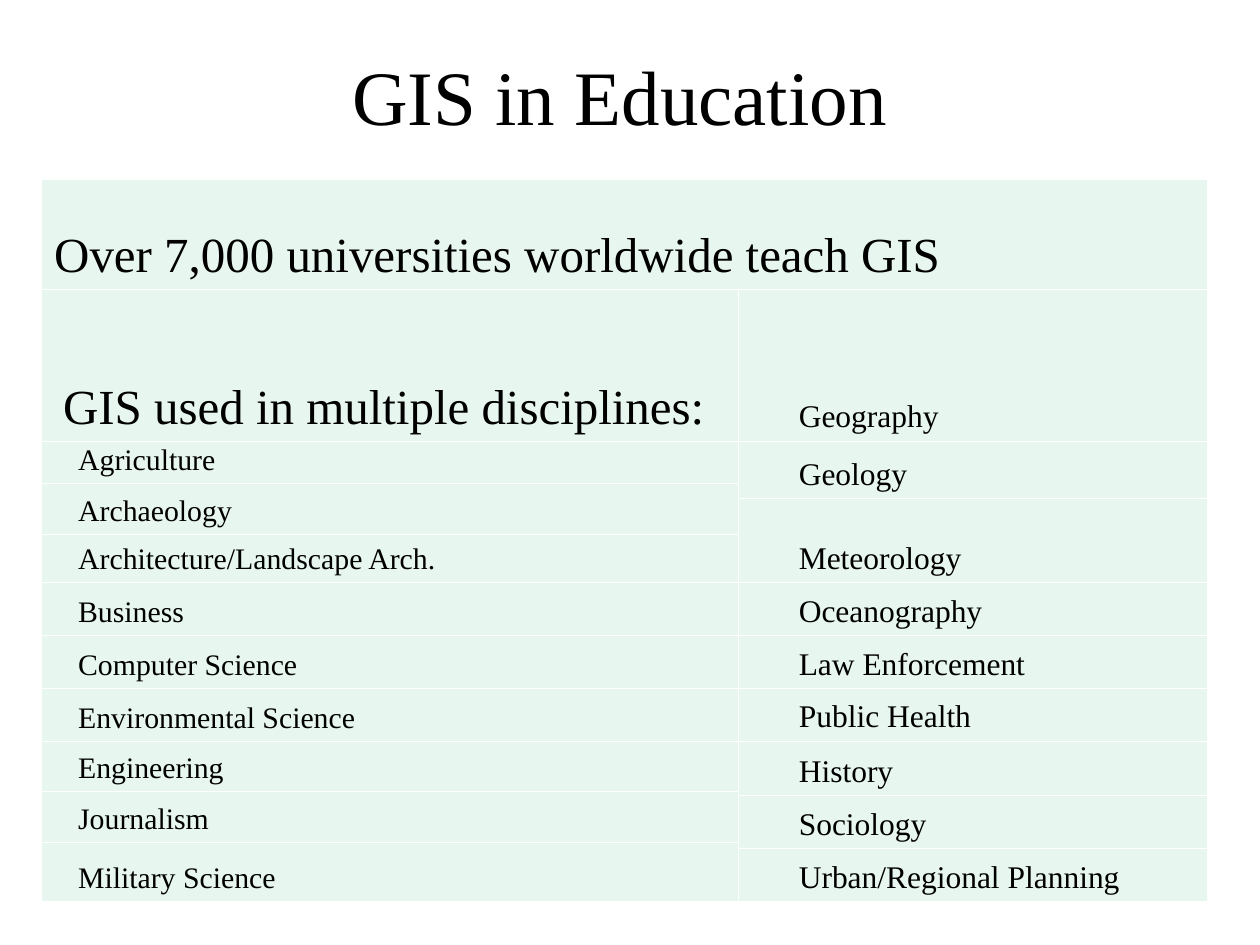
from lxml.etree import SubElement
from pptx import Presentation
from pptx.dml.color import RGBColor
from pptx.enum.text import MSO_ANCHOR as Anchor, MSO_AUTO_SIZE as AutoSize, PP_ALIGN as Align
from pptx.oxml.ns import qn
from pptx.util import Inches, Pt

FONT, INK, MINT, WHITE = "Times New Roman", "000000", "E7F6EF", "FFFFFF"
COLUMNS = [5.53, 3.72]
ROWS = [0.88, 1.2, 0.27, 0.12, 0.25, 0.33, 0.39, 0.39, 0.39, 0.37, 0.03, 0.34, 0.05, 0.39]

# Each entry: first row, rows spanned, text
LEFT = [
    (2, 1, "Agriculture"), (3, 2, "Archaeology"), (5, 1, "Architecture/Landscape Arch."),
    (6, 1, "Business"), (7, 1, "Computer Science"), (8, 1, "Environmental Science"),
    (9, 1, "Engineering"), (10, 2, "Journalism"), (12, 2, "Military Science"),
]
RIGHT = [
    (1, 1, "Geography"), (2, 2, "Geology"), (4, 2, "Meteorology"), (6, 1, "Oceanography"),
    (7, 1, "Law Enforcement"), (8, 1, "Public Health"), (9, 2, "History"),
    (11, 2, "Sociology"), (13, 1, "Urban/Regional Planning"),
]
EXACT_SPACING = {"Agriculture": Pt(16.9), "Architecture/Landscape Arch.": Pt(20.6)}


def color(value):
    return RGBColor.from_string(value)


def write(frame, text, size, align=Align.LEFT, indent=0, spacing=None):
    paragraph = frame.paragraphs[0]
    paragraph.alignment = align
    paragraph.space_before = Pt(0)
    if spacing:
        paragraph.line_spacing = spacing
    if indent:
        properties = paragraph._p.get_or_add_pPr()
        properties.set("marL", str(Inches(indent)))
        properties.set("indent", "0")
    run = paragraph.add_run()
    run.text = text
    run.font.size = Pt(size)
    run.font.name = FONT
    run.font.color.rgb = color(INK)


def style_cell(cell):
    """Give a cell thin white borders, a mint fill and bottom anchoring."""
    properties = cell._tc.get_or_add_tcPr()
    for side in ("a:lnL", "a:lnR", "a:lnT", "a:lnB"):
        line = SubElement(properties, qn(side), w=str(Pt(0.45)))
        SubElement(SubElement(line, qn("a:solidFill")), qn("a:srgbClr"), val=WHITE)
    cell.fill.solid()
    cell.fill.fore_color.rgb = color(MINT)
    cell.vertical_anchor = Anchor.BOTTOM


def add_title(slide, box, text):
    title = slide.shapes.title
    title.left, title.top, title.width, title.height = map(Inches, box)
    frame = title.text_frame
    frame.auto_size = AutoSize.NONE
    frame.vertical_anchor = Anchor.MIDDLE
    write(frame, text, 44, align=Align.CENTER)


def add_disciplines(slide, box):
    table = slide.shapes.add_table(len(ROWS), len(COLUMNS), *map(Inches, box)).table
    table.first_row = table.horz_banding = False
    for column, width in zip(table.columns, COLUMNS):
        column.width = Inches(width)
    for row, height in zip(table.rows, ROWS):
        row.height = Inches(height)
    for cell in table.iter_cells():
        style_cell(cell)

    # Headings
    table.cell(0, 0).merge(table.cell(0, 1))
    write(table.cell(0, 0).text_frame, "Over 7,000 universities worldwide teach GIS", 28, spacing=1.15)
    write(table.cell(1, 0).text_frame, "GIS used in multiple disciplines:", 28, indent=0.07, spacing=1.15)

    # Two staggered lists
    for column, (entries, size, indent) in enumerate([(LEFT, 17, 0.19), (RIGHT, 18, 0.38)]):
        for row, span, text in entries:
            cell = table.cell(row, column)
            if span > 1:
                cell.merge(table.cell(row + span - 1, column))
            write(cell.text_frame, text, size, indent=indent, spacing=EXACT_SPACING.get(text, 1.15))


def main():
    presentation = Presentation()
    presentation.slide_width, presentation.slide_height = Inches(10), Inches(7.5)
    slide = presentation.slides.add_slide(presentation.slide_layouts[5])
    slide.background.fill.solid()
    slide.background.fill.fore_color.rgb = color(WHITE)
    add_title(slide, (0.67, 0.25, 8.5, 1), "GIS in Education")
    add_disciplines(slide, (0.33, 1.42, sum(COLUMNS), sum(ROWS)))
    presentation.save("out.pptx")


if __name__ == "__main__":
    main()
